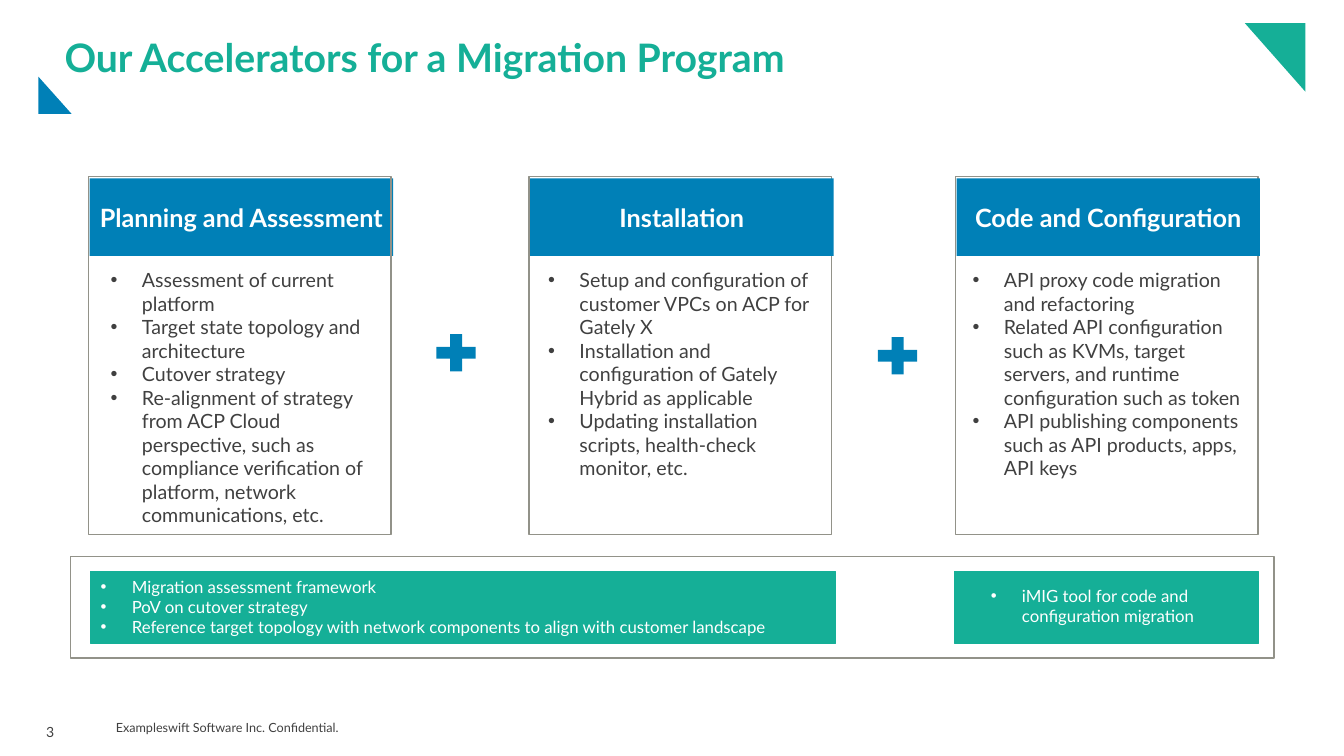
from dataclasses import dataclass
from typing import NamedTuple

from lxml.etree import SubElement
from pptx import Presentation
from pptx.dml.color import RGBColor
from pptx.enum.shapes import MSO_SHAPE as Shape
from pptx.enum.text import MSO_ANCHOR as Anchor, MSO_AUTO_SIZE as Auto, PP_ALIGN as Align
from pptx.oxml.ns import qn
from pptx.util import Inches, Pt

COLS, ROWS = 133.33, 75
WIDE, HIGH = Inches(13.33), Inches(7.5)


@dataclass(frozen=True)
class Theme:
    font: str = "Lato"
    green: str = "15AF97"
    blue: str = "0080B7"
    ink: str = "404040"
    edge: str = "929289"
    white: str = "FFFFFF"
    title: int = 28
    head: int = 18
    body: int = 14
    tool: int = 12
    page: int = 10
    foot: int = 9


class Box(NamedTuple):
    """Left, top, width and height in grid columns and rows."""
    x: float
    y: float
    w: float
    h: float


@dataclass(frozen=True)
class Card:
    x: float
    head: str
    text: Box
    items: tuple[str, ...]
    framed_last: bool = False


THEME = Theme()
CARDS = (
    Card(8.8, "Planning and Assessment", Box(10, 26.1, 28.7, 26.9), (
        "Assessment of current platform",
        "Target state topology and architecture",
        "Cutover strategy",
        "Re-alignment of strategy from ACP Cloud perspective, such as compliance "
        "verification of platform, network communications, etc.",
    ), framed_last=True),
    Card(52.5, "Installation", Box(53.4, 26.1, 28.6, 22.2), (
        "Setup and configuration of customer VPCs on ACP for Gately X",
        "Installation and configuration of Gately Hybrid as applicable",
        "Updating installation scripts, health-check monitor, etc.",
    )),
    Card(94.8, "Code and Configuration", Box(95.5, 26.1, 28.8, 22.2), (
        "API proxy code migration and refactoring",
        "Related API configuration such as KVMs, target servers, and runtime "
        "configuration such as token",
        "API publishing components such as API products, apps, API keys",
    )),
)
PLUSES = (Box(42.6, 32.5, 5.3, 5), Box(86.4, 32.8, 5.3, 5))
CORNERS = (
    (THEME.green, ((123.5, 2.3), (129.5, 2.3), (129.5, 9.1))),
    (THEME.blue, ((7.1, 11.3), (3.8, 11.3), (3.8, 7.6))),
)
ASSETS = (
    "Migration assessment framework",
    "PoV on cutover strategy",
    "Reference target topology with network components to align with customer landscape",
)


def col(n: float) -> int:
    return round(WIDE * n / COLS)


def row(n: float) -> int:
    return round(HIGH * n / ROWS)


def place(box: Box) -> tuple[int, int, int, int]:
    return col(box.x), row(box.y), col(box.w), row(box.h)


def write(shape, *lines: str, size: int, color: str = THEME.ink, bold: bool = False,
          align=Align.LEFT, anchor=Anchor.TOP, bullet: bool = False, wrap: bool = True,
          inset: float | None = None, space: float | Pt | None = None, after: int = 0) -> None:
    """Fill a shape with one paragraph per line; inset is in inches."""
    frame = shape.text_frame
    frame.word_wrap, frame.auto_size, frame.vertical_anchor = wrap, Auto.NONE, anchor
    if inset is not None:
        frame.margin_left = frame.margin_right = Inches(inset)
        frame.margin_top = frame.margin_bottom = Inches(inset)
    for i, line in enumerate(lines):
        para = frame.add_paragraph() if i else frame.paragraphs[0]
        para.alignment, para.space_after = align, Pt(after)
        if space is not None:
            para.line_spacing = space
        run = para.add_run()
        run.text = line
        font = run.font
        font.name, font.size, font.bold = THEME.font, Pt(size), bold
        font.color.rgb = RGBColor.from_string(color)
        if bullet:
            props = para._p.get_or_add_pPr()
            props.set("marL", str(Inches(0.31)))
            props.set("indent", str(-Inches(0.31)))
            SubElement(props, qn("a:buFont"), typeface="Arial")
            SubElement(props, qn("a:buChar"), char="•")


def paint(shape, fill: str | None, line: str | None = None, width: float = 1) -> None:
    shape.shadow.inherit = False
    if fill:
        shape.fill.solid()
        shape.fill.fore_color.rgb = RGBColor.from_string(fill)
    else:
        shape.fill.background()
    if line:
        shape.line.color.rgb = RGBColor.from_string(line)
        shape.line.width = Pt(width)
    else:
        shape.line.fill.background()


def draw(slide, box: Box, fill: str | None, line: str | None = None,
         width: float = 1, kind=Shape.RECTANGLE):
    shape = slide.shapes.add_shape(kind, *place(box))
    paint(shape, fill, line, width)
    return shape


def label(slide, box: Box, *lines: str, **form) -> None:
    write(slide.shapes.add_textbox(*place(box)), *lines, **form)


def corner(slide, color: str, spots: tuple[tuple[float, float], ...]) -> None:
    first, *rest = [(col(x), row(y)) for x, y in spots]
    path = slide.shapes.build_freeform(*first, scale=1.0)
    path.add_line_segments(rest, close=True)
    paint(path.convert_to_shape(), color)


def add_card(slide, card: Card) -> None:
    def frame() -> None:
        draw(slide, Box(card.x, 17.5, 30, 35.5), None, THEME.edge)

    def header() -> None:
        band = draw(slide, Box(card.x + 0.1, 17.7, 30.1, 7.7), THEME.blue)
        write(band, card.head, size=THEME.head, color=THEME.white, bold=True,
              align=Align.CENTER, anchor=Anchor.MIDDLE)

    for part in (header, frame) if card.framed_last else (frame, header):
        part()
    label(slide, card.text, *card.items, size=THEME.body, bullet=True)


def add_tools(slide) -> None:
    """Draw the strip of ready-made tools under the cards."""
    tool = {"size": THEME.tool, "color": THEME.white, "bullet": True}
    draw(slide, Box(7, 55.2, 119.4, 10.1), THEME.white, THEME.edge)
    wide = draw(slide, Box(9, 56.7, 73.9, 7.1), THEME.green, THEME.green, 0.5)
    write(wide, *ASSETS, **tool)
    draw(slide, Box(94.7, 56.7, 30.1, 7.1), THEME.green, THEME.green, 0.5)
    label(slide, Box(97.3, 57.6, 25.6, 5), "iMIG tool for code and configuration migration", **tool)


def main() -> None:
    deck = Presentation()
    deck.slide_width, deck.slide_height = WIDE, HIGH
    slide = deck.slides.add_slide(deck.slide_layouts[5])
    title = slide.shapes.title
    title.left, title.top, title.width, title.height = place(Box(6.4, 3.8, 120.1, 4.2))
    write(title, "Our Accelerators for a Migration Program", size=THEME.title,
          color=THEME.green, bold=True, anchor=Anchor.MIDDLE, inset=0, space=0.9)
    label(slide, Box(10.5, 70.5, 27.3, 3.4), "Exampleswift Software Inc. Confidential.",
          size=THEME.foot, anchor=Anchor.MIDDLE, inset=0.1)
    label(slide, Box(3.6, 70.6, 3.7, 3.1), "3", size=THEME.page, wrap=False,
          space=Pt(17), after=2)
    for color, spots in CORNERS:
        corner(slide, color, spots)
    for card in CARDS:
        add_card(slide, card)
    for box in PLUSES:
        draw(slide, box, THEME.blue, kind=Shape.MATH_PLUS)
    add_tools(slide)
    deck.save("out.pptx")


if __name__ == "__main__":
    main()
